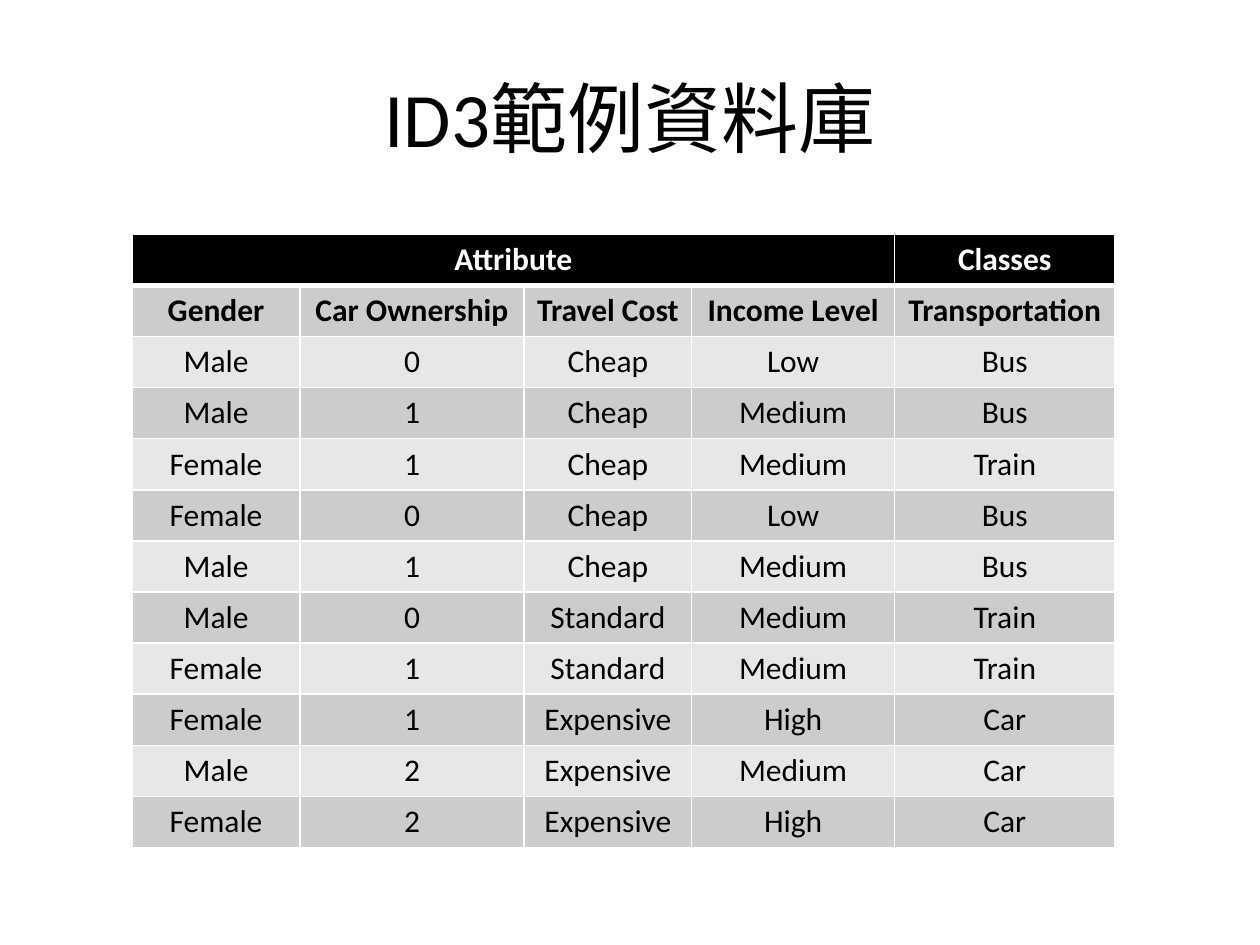
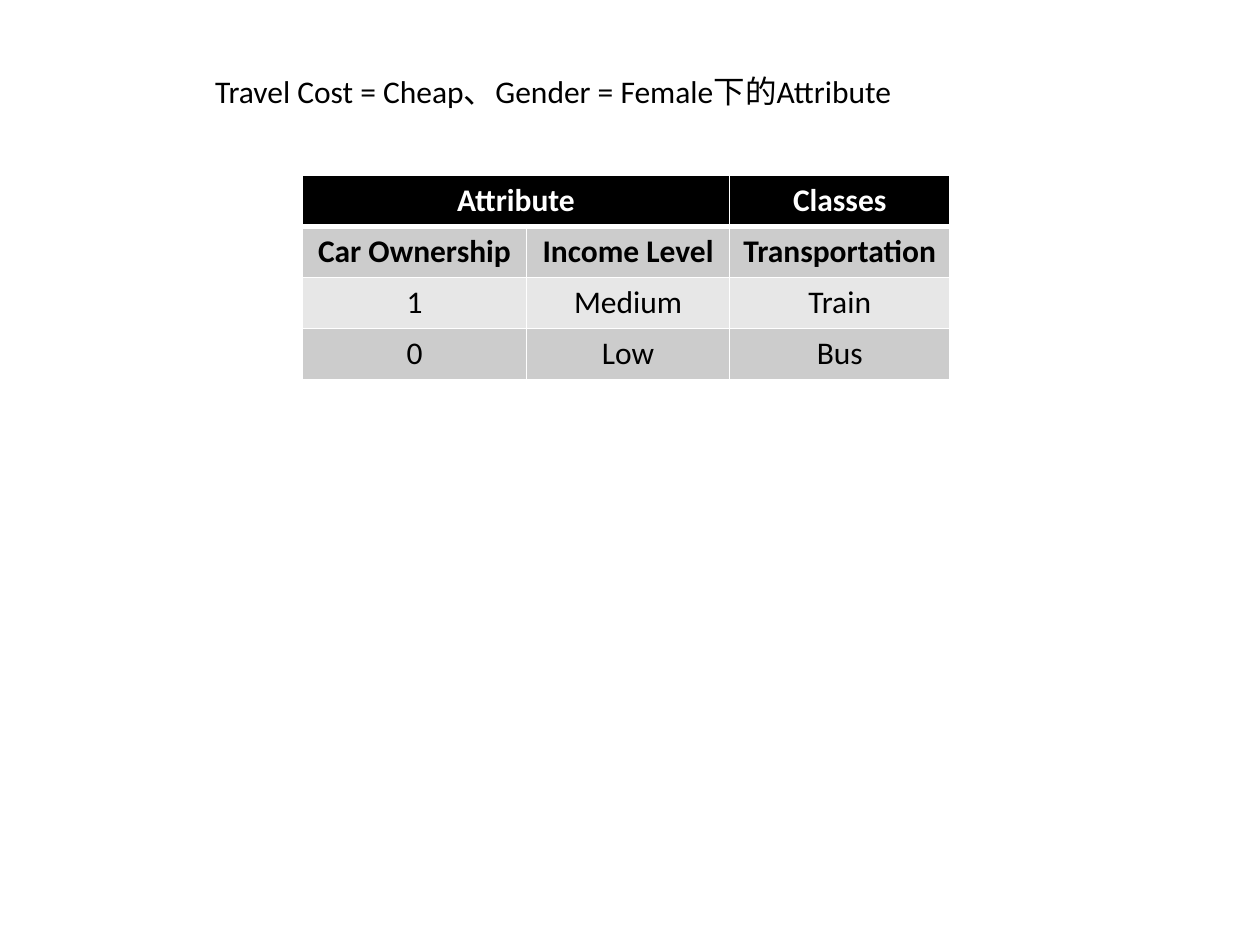
import dataclasses

import lxml.etree
import pptx
import pptx.dml.color
import pptx.enum.text
import pptx.oxml.ns
import pptx.util


@dataclasses.dataclass(frozen=True)
class Theme:
    """Colours, type sizes and rules shared by the slides."""
    font: str = "Calibri"
    title_size: int = 44
    text_size: int = 18
    ink: str = "000000"
    paper: str = "FFFFFF"
    bands: tuple = ("CCCCCC", "E7E7E7")
    rule: int = 1
    header_rule: int = 3
    row_height: float = 8.11


THEME = Theme()
GRID_COLUMNS, GRID_ROWS = 200, 150
WIDTH, HEIGHT = pptx.util.Inches(10), pptx.util.Inches(7.5)

FIELDS = {
    "Gender": 26.6,
    "Car Ownership": 35.6,
    "Travel Cost": 26.6,
    "Income Level": 32.2,
    "Transportation": 35,
}
TRIPS = [dict(zip(FIELDS, trip.split())) for trip in (
    "Male 0 Cheap Low Bus",
    "Male 1 Cheap Medium Bus",
    "Female 1 Cheap Medium Train",
    "Female 0 Cheap Low Bus",
    "Male 1 Cheap Medium Bus",
    "Male 0 Standard Medium Train",
    "Female 1 Standard Medium Train",
    "Female 1 Expensive High Car",
    "Male 2 Expensive Medium Car",
    "Female 2 Expensive High Car",
)]


def across(columns):
    """Return the length of a number of grid columns."""
    return round(WIDTH * columns / GRID_COLUMNS)


def down(rows):
    """Return the length of a number of grid rows."""
    return round(HEIGHT * rows / GRID_ROWS)


def place(box):
    """Turn a grid box into left, top, width and height."""
    left, top, width, height = box
    return across(left), down(top), across(width), down(height)


def style_text(frame, size, color=THEME.ink, bold=False, align=None):
    """Format every run of a text frame."""
    for paragraph in frame.paragraphs:
        paragraph.alignment = align
        for run in paragraph.runs:
            run.font.name = THEME.font
            run.font.size = pptx.util.Pt(size)
            run.font.bold = bold
            run.font.color.rgb = pptx.dml.color.RGBColor.from_string(color)


def rule_cell(cell, top, bottom):
    """Draw the paper-coloured rules around a cell."""
    qn = pptx.oxml.ns.qn
    properties = cell._tc.get_or_add_tcPr()
    widths = {"lnL": THEME.rule, "lnR": THEME.rule, "lnT": top, "lnB": bottom}
    for edge, width in widths.items():
        line = lxml.etree.SubElement(
            properties, qn("a:" + edge), w=str(pptx.util.Pt(width)))
        fill = lxml.etree.SubElement(line, qn("a:solidFill"))
        lxml.etree.SubElement(fill, qn("a:srgbClr"), val=THEME.paper)


def style_cell(cell, row):
    """Give a cell the rules, fill and type of its row."""
    header = row == 0
    rule_cell(cell,
              THEME.header_rule if row == 1 else THEME.rule,
              THEME.header_rule if header else THEME.rule)
    color = THEME.ink if header else THEME.bands[(row - 1) % 2]
    cell.fill.solid()
    cell.fill.fore_color.rgb = pptx.dml.color.RGBColor.from_string(color)
    cell.vertical_anchor = pptx.enum.text.MSO_ANCHOR.MIDDLE
    style_text(cell.text_frame, THEME.text_size,
               THEME.paper if header else THEME.ink, row < 2,
               pptx.enum.text.PP_ALIGN.CENTER)


def add_trip_table(slide, left, top, fields, trips):
    """Add a table of trips whose last field is the class."""
    groups = ["Attribute"] + [""] * (len(fields) - 2) + ["Classes"]
    rows = [groups, fields] + [[trip[name] for name in fields] for trip in trips]
    box = (left, top, sum(FIELDS[name] for name in fields),
           THEME.row_height * len(rows))
    table = slide.shapes.add_table(len(rows), len(fields), *place(box)).table
    for column, name in zip(table.columns, fields):
        column.width = across(FIELDS[name])
    for row, values in enumerate(rows):
        table.rows[row].height = down(THEME.row_height)
        for column, value in enumerate(values):
            cell = table.cell(row, column)
            cell.text_frame.text = value
            style_cell(cell, row)
    table.cell(0, 0).merge(table.cell(0, len(fields) - 2))


def add_title(slide, box, wording):
    """Fill and place the title placeholder."""
    title = slide.shapes.title
    title.left, title.top, title.width, title.height = place(box)
    title.text_frame.text = wording
    title.text_frame.vertical_anchor = pptx.enum.text.MSO_ANCHOR.MIDDLE
    style_text(title.text_frame, THEME.title_size,
               align=pptx.enum.text.PP_ALIGN.CENTER)


def add_caption(slide, box, wording):
    """Add the condition above a table."""
    caption = slide.shapes.add_textbox(*place(box)).text_frame
    caption.word_wrap = True
    caption.auto_size = pptx.enum.text.MSO_AUTO_SIZE.SHAPE_TO_FIT_TEXT
    caption.text = wording
    style_text(caption, THEME.text_size)


def build_database_slide(deck):
    """Show the whole example database."""
    slide = deck.slides.add_slide(deck.slide_layouts[5])
    add_title(slide, (10, 6, 180, 25), "ID3範例資料庫")
    add_trip_table(slide, 21, 37.2, list(FIELDS), TRIPS)


def build_subset_slide(deck):
    """Show the trips that meet two conditions, without those fields."""
    slide = deck.slides.add_slide(deck.slide_layouts[6])
    conditions = {"Travel Cost": "Cheap", "Gender": "Female"}
    fields = [name for name in FIELDS if name not in conditions]
    trips = [trip for trip in TRIPS
             if all(trip[name] == value for name, value in conditions.items())]
    wording = "、".join(f"{name} = {value}" for name, value in conditions.items())
    add_trip_table(slide, 48, 27.8, fields, trips)
    add_caption(slide, (32.2, 10.4, 112.6, 8), wording + "下的Attribute")


def main():
    """Build and save the presentation."""
    deck = pptx.Presentation()
    deck.slide_width, deck.slide_height = WIDTH, HEIGHT
    build_database_slide(deck)
    build_subset_slide(deck)
    deck.save("out.pptx")


main()
